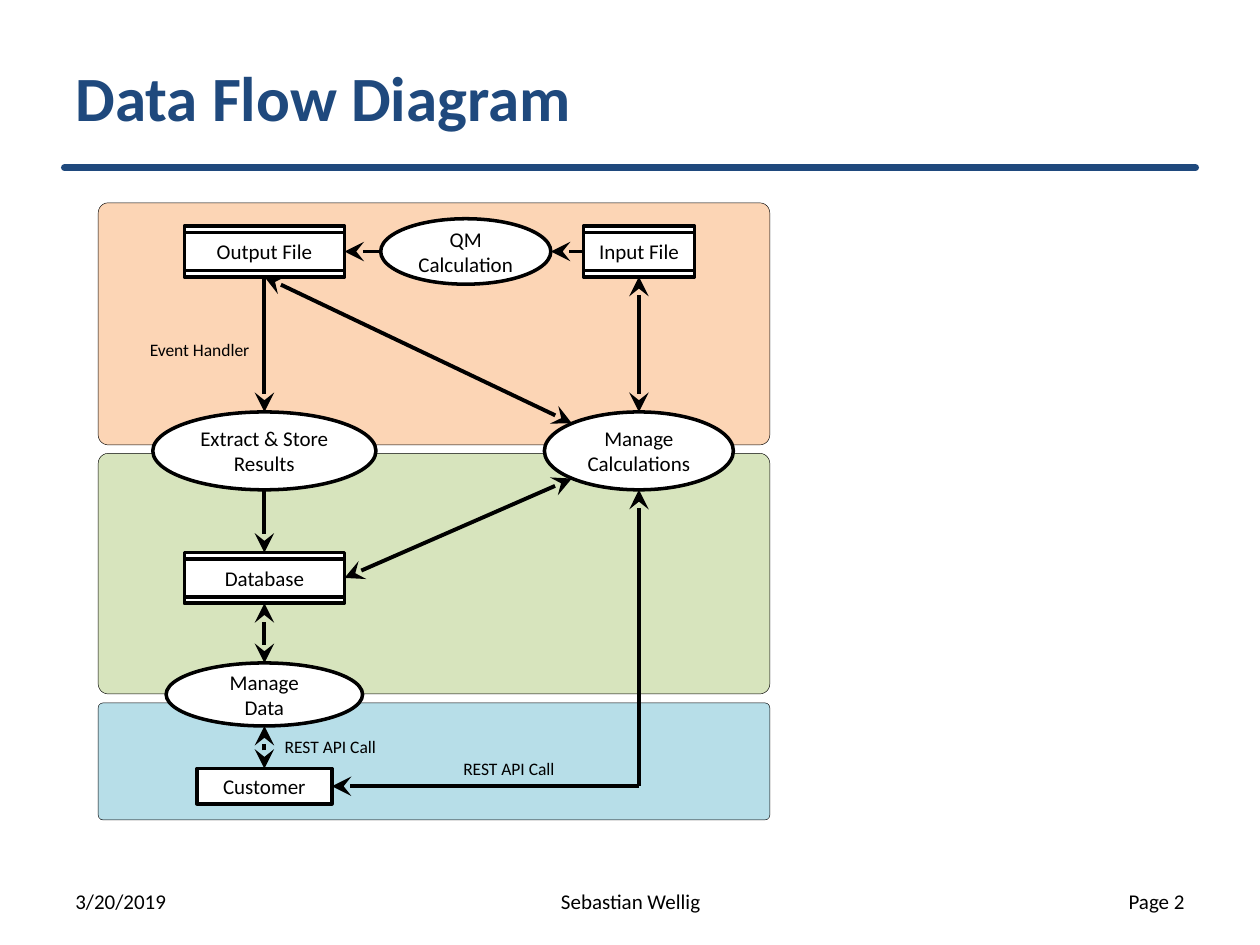
from collections import namedtuple
from pptx import Presentation
from pptx import util as u
from pptx.dml.color import RGBColor
from pptx.enum import shapes, text
from pptx.oxml.ns import qn
from lxml import etree

theme = {
    "font": "Calibri", "title": 36, "body": 12, "label": 10,
    "navy": RGBColor(0x1F, 0x49, 0x7D), "black": RGBColor(0, 0, 0),
    "white": RGBColor(255, 255, 255), "orange": RGBColor(0xFC, 0xD5, 0xB5),
    "green": RGBColor(0xD7, 0xE4, 0xBD), "blue": RGBColor(0xB7, 0xDE, 0xE8),
}
LEFT, CENTER, RIGHT = text.PP_ALIGN.LEFT, text.PP_ALIGN.CENTER, text.PP_ALIGN.RIGHT
MIDDLE, TOP = text.MSO_ANCHOR.MIDDLE, text.MSO_ANCHOR.TOP
KIND = shapes.MSO_SHAPE
Node = namedtuple("Node", "kind lines x y width height")


def write(shape, lines, size, color="black", align=LEFT, anchor=MIDDLE, wrap=True, bold=False):
    frame = shape.text_frame
    frame.word_wrap = wrap
    frame.vertical_anchor = anchor
    for index, line in enumerate(lines):
        paragraph = frame.paragraphs[0] if index == 0 else frame.add_paragraph()
        paragraph.alignment = align
        run = paragraph.add_run()
        run.text = line
        run.font.name = theme["font"]
        run.font.size = u.Pt(theme[size])
        run.font.color.rgb = theme[color]
        run.font.bold = bold


def draw_line(start, end, color="black", width=2.25, heads=(), cap="flat"):
    line = slide.shapes.add_connector(shapes.MSO_CONNECTOR.STRAIGHT, *map(u.Cm, start + end))
    line.line.color.rgb = theme[color]
    line.line.width = u.Pt(width)
    outline = line.line._get_or_add_ln()
    outline.set("cap", cap)
    for head in heads:
        etree.SubElement(outline, qn("a:" + head), type="stealth", w="lg", len="lg")
    etree.SubElement(line._element.spPr, qn("a:effectLst"))


presentation = Presentation()
presentation.slide_width, presentation.slide_height = u.Cm(25.4), u.Cm(19.05)
slide = presentation.slides.add_slide(presentation.slide_layouts[6])

draw_line((1.3, 3.38), (24.1, 3.38), "navy", 4, cap="rnd")

for color, top, height in [("blue", 14.17, 2.36), ("orange", 4.09, 4.88), ("green", 9.14, 4.85)]:
    band = slide.shapes.add_shape(KIND.ROUNDED_RECTANGLE, u.Cm(1.98), u.Cm(top), u.Cm(13.54), u.Cm(height))
    band.adjustments[0] = 0.042
    band.shadow.inherit = False
    band.fill.solid()
    band.fill.fore_color.rgb = theme[color]
    band.line.color.rgb = theme["black"]
    band.line.width = u.Pt(0.25)

title = slide.shapes.add_textbox(u.Cm(1.27), u.Cm(0.36), u.Cm(22.86), u.Cm(3.17))
write(title, ["Data Flow Diagram"], "title", "navy", bold=True)

for line, left, width, align in [
    ("3/20/2019", 1.27, 5.92, LEFT),
    ("Sebastian Wellig", 8.69, 8.05, CENTER),
    ("Page 2", 18.21, 5.92, RIGHT),
]:
    footer = slide.shapes.add_textbox(u.Cm(left), u.Cm(17.65), u.Cm(width), u.Cm(1.02))
    write(footer, [line], "body", align=align)

left_axis, right_axis = 5.33, 12.88
file_row, process_row = 5.07, 9.09
STORE, PROCESS, ACTOR = KIND.FLOWCHART_PREDEFINED_PROCESS, KIND.OVAL, KIND.RECTANGLE
nodes = {
    "output": Node(STORE, ["Output File"], left_axis, file_row, 3.23, 1.02),
    "input": Node(STORE, ["Input File"], right_axis, file_row, 2.24, 1.02),
    "database": Node(STORE, ["Database"], left_axis, 11.65, 3.23, 1.02),
    "qm": Node(PROCESS, ["QM", "Calculation"], 9.39, file_row, 3.43, 1.32),
    "customer": Node(ACTOR, ["Customer"], left_axis, 15.85, 2.72, 0.71),
    "data": Node(PROCESS, ["Manage", "Data"], left_axis, 14, 3.96, 1.27),
    "manage": Node(PROCESS, ["Manage Calculations"], right_axis, process_row, 3.81, 1.57),
    "extract": Node(PROCESS, ["Extract & Store", "Results"], left_axis, process_row, 4.5, 1.57),
}
for node in nodes.values():
    upright = node.kind == STORE
    width, height = (node.height, node.width) if upright else (node.width, node.height)
    shape = slide.shapes.add_shape(
        node.kind, u.Cm(node.x - width / 2), u.Cm(node.y - height / 2), u.Cm(width), u.Cm(height))
    shape.shadow.inherit = False
    shape.fill.solid()
    shape.fill.fore_color.rgb = theme["white"]
    shape.line.color.rgb = theme["black"]
    shape.line.width = u.Pt(2)
    frame = shape.text_frame
    frame.margin_left = frame.margin_right = frame.margin_top = frame.margin_bottom = 0
    write(shape, node.lines, "body", align=CENTER)
    if upright:
        shape.rotation = 90
        frame._txBody.bodyPr.set("vert", "vert270")

sides = {"top": (0, -1), "bottom": (0, 1), "left": (-1, 0), "right": (1, 0),
         "upper left": (-0.71, -0.71), "lower left": (-0.71, 0.71)}
one_way, two_way = ("tailEnd",), ("headEnd", "tailEnd")
for source, source_side, target, target_side, heads in [
    ("input", "left", "qm", "right", one_way),
    ("qm", "left", "output", "right", one_way),
    ("customer", "top", "data", "bottom", two_way),
    ("data", "top", "database", "bottom", two_way),
    ("input", "bottom", "manage", "top", two_way),
    ("manage", "lower left", "database", "right", two_way),
    ("output", "bottom", "manage", "upper left", two_way),
    ("output", "bottom", "extract", "top", one_way),
    ("extract", "bottom", "database", "top", one_way),
]:
    start, end = [
        (nodes[name].x + sides[side][0] * nodes[name].width / 2,
         nodes[name].y + sides[side][1] * nodes[name].height / 2)
        for name, side in [(source, source_side), (target, target_side)]]
    draw_line(start, end, heads=heads)

customer, manage = nodes["customer"], nodes["manage"]
corner = (right_axis, customer.y)
for end in [(customer.x + customer.width / 2, customer.y), (right_axis, manage.y + manage.height / 2)]:
    draw_line(corner, end, heads=one_way)

for line, left, top, width in [
    ("REST API Call", 9.09, 15.16, 2.36),
    ("REST API Call", 5.49, 14.71, 2.36),
    ("Event Handler", 2.77, 6.71, 2.57),
]:
    label = slide.shapes.add_textbox(u.Cm(left), u.Cm(top), u.Cm(width), u.Cm(0.69))
    write(label, [line], "label", anchor=TOP, wrap=False)

presentation.save("out.pptx")
